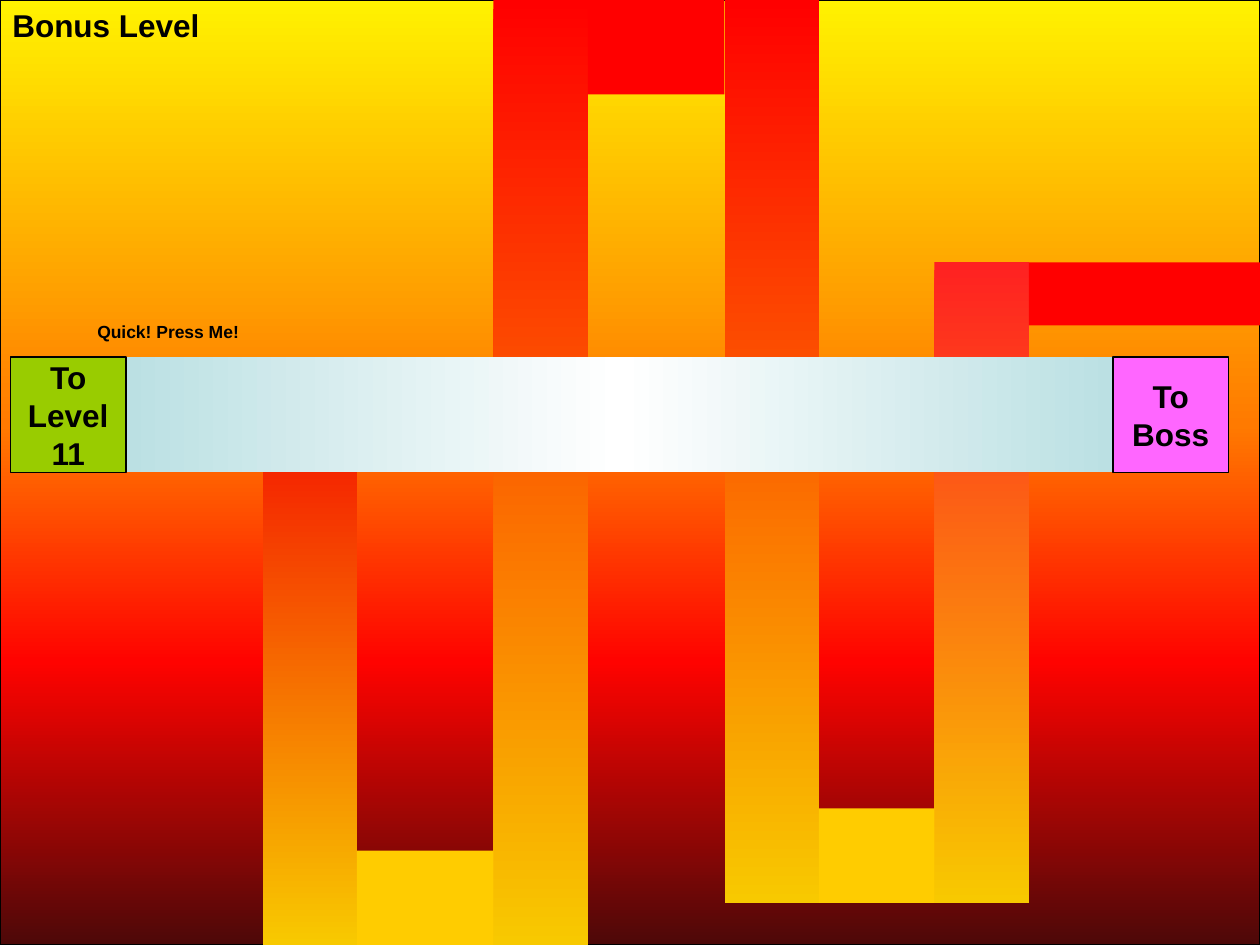
from lxml import etree
from pptx import Presentation
from pptx.dml.color import RGBColor
from pptx.enum.shapes import MSO_SHAPE
from pptx.enum.text import MSO_ANCHOR, PP_ALIGN
from pptx.oxml.ns import qn
from pptx.util import Pt

RECTANGLE = MSO_SHAPE.RECTANGLE
MIDDLE = MSO_ANCHOR.MIDDLE
LEFT, CENTER = PP_ALIGN.LEFT, PP_ALIGN.CENTER

BLACK = RGBColor(0x00, 0x00, 0x00)
WHITE = RGBColor(0xFF, 0xFF, 0xFF)
RED = RGBColor(0xFF, 0x00, 0x00)
DARK_RED = RGBColor(0xF4, 0x00, 0x00)
LIGHT_RED = RGBColor(0xFF, 0x21, 0x21)
AMBER = RGBColor(0xF8, 0xC9, 0x00)
GOLD = RGBColor(0xFF, 0xCC, 0x00)
ICE = RGBColor(0xBB, 0xE0, 0xE3)
GREEN = RGBColor(0x99, 0xCC, 0x00)
PINK = RGBColor(0xFF, 0x66, 0xFF)
SUNSET = [(0, RGBColor(0xFF, 0xF2, 0x00)), (45, RGBColor(0xFF, 0x7A, 0x00)),
          (70, RGBColor(0xFF, 0x03, 0x00)), (100, RGBColor(0x4D, 0x08, 0x08))]

WIDTH, HEIGHT = 720, 540
COLUMN = 54            # width of a maze column
BAR_TOP, BAR_HEIGHT = 204, 66
DOWNWARD, ACROSS = 270, 0


class Level:
    """Holds the style and the current slide."""
    font = "Arial"
    outline = 0.75

    def __init__(self, slide):
        self.slide = slide

    def block(self, left, top, width, height, color=None, outlined=False):
        block = self.slide.shapes.add_shape(
            RECTANGLE, Pt(left), Pt(top), Pt(width), Pt(height))
        block.shadow.inherit = False
        if color is not None:
            block.fill.solid()
            block.fill.fore_color.rgb = color
        if outlined:
            block.line.color.rgb = BLACK
            block.line.width = Pt(self.outline)
        else:
            block.line.fill.background()
        return block

    def gradient(self, left, top, width, height, stops, angle=DOWNWARD,
                 outlined=False):
        block = self.block(left, top, width, height, outlined=outlined)
        block.fill.gradient()
        block.fill.gradient_angle = angle
        stop_list = next(block._element.spPr.iter(qn("a:gsLst")))
        for old_stop in list(stop_list):
            stop_list.remove(old_stop)
        for percent, color in stops:
            stop = etree.SubElement(stop_list, qn("a:gs"), pos=str(percent * 1000))
            etree.SubElement(stop, qn("a:srgbClr"), val=str(color))

    def set_text(self, frame, text, size, align):
        frame.text = text
        for paragraph in frame.paragraphs:
            paragraph.alignment = align
            for run in paragraph.runs:
                run.font.name = self.font
                run.font.size = Pt(size)
                run.font.bold = True
                run.font.color.rgb = BLACK

    def label(self, left, top, width, height, text, size, align):
        label = self.slide.shapes.add_textbox(
            Pt(left), Pt(top), Pt(width), Pt(height))
        label.text_frame.word_wrap = True
        self.set_text(label.text_frame, text, size, align)

    def button(self, left, text, color):
        button = self.block(left, BAR_TOP, BAR_HEIGHT, BAR_HEIGHT, color, True)
        button.text_frame.word_wrap = False
        button.text_frame.vertical_anchor = MIDDLE
        self.set_text(button.text_frame, text, 18, CENTER)


def main():
    deck = Presentation()
    deck.slide_width, deck.slide_height = Pt(WIDTH), Pt(HEIGHT)
    level = Level(deck.slides.add_slide(deck.slide_layouts[6]))

    # Sunset backdrop
    level.gradient(0, 0, WIDTH, HEIGHT, SUNSET, outlined=True)

    # Maze columns: left, top, bottom, top colour
    for left, top, bottom, color in [(534, 150, 516, LIGHT_RED),
                                     (414, 0, 516, RED),
                                     (282, 0, HEIGHT, RED),
                                     (150, BAR_TOP, HEIGHT, DARK_RED)]:
        level.gradient(left, top, COLUMN, bottom - top,
                       [(0, color), (100, AMBER)])

    # Passages that join the columns
    for left, top, width, height, color in [(588, 150, 132, 36, RED),
                                            (468, 462, 66, 54, GOLD),
                                            (336, 0, 78, 54, RED),
                                            (204, 486, 78, 54, GOLD)]:
        level.block(left, top, width, height, color)

    # Bridge with a button at each end
    level.gradient(72, BAR_TOP, 564, BAR_HEIGHT,
                   [(0, ICE), (50, WHITE), (100, ICE)], ACROSS)
    level.button(636, "To\nBoss", PINK)
    level.button(6, "To\nLevel\n11", GREEN)

    # Title and hint
    level.label(0, 0, 144, 29, "Bonus Level", 18, LEFT)
    level.label(42, 180, 108, 19, "Quick! Press Me!", 10, CENTER)

    deck.save("out.pptx")


if __name__ == "__main__":
    main()
